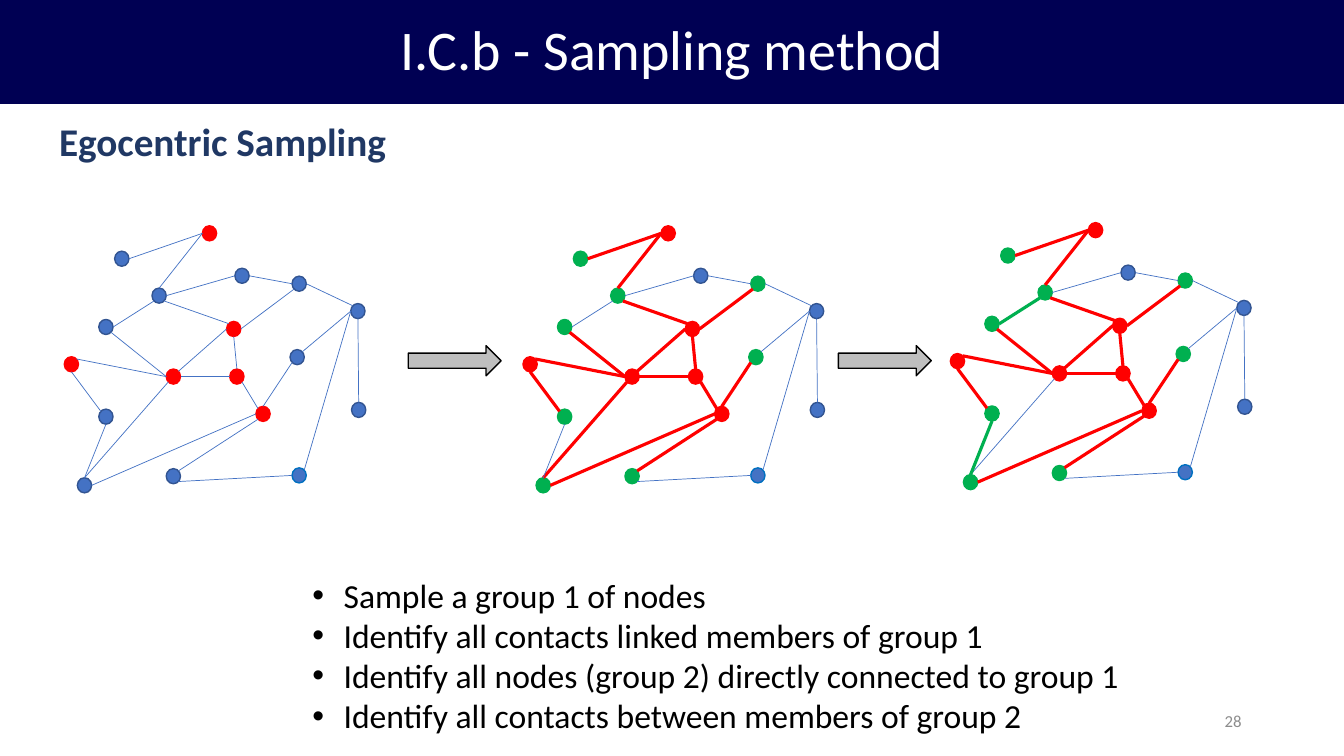
from dataclasses import dataclass
from math import sqrt

from lxml import etree
from pptx import Presentation
from pptx import util as u
from pptx.dml.color import RGBColor
from pptx.enum import shapes, text
from pptx.oxml.ns import qn


@dataclass(frozen=True)
class Theme:
    font: str = "Calibri"
    banner: str = "000053"
    heading: str = "203864"
    white: str = "FFFFFF"
    black: str = "000000"
    muted: str = "8C8C8C"
    arrow: str = "BFBFBF"
    node: str = "4472C4"
    node_line: str = "325491"
    node_accent: str = "0070C0"
    group_1: str = "FF0000"
    group_2: str = "00B050"
    title_size: float = 40
    heading_size: float = 28
    body_size: float = 24
    number_size: float = 12
    thin: float = 0.5
    outline: float = 1
    thick: float = 2.25


THEME = Theme()

# Node centres in cm, as placed in the first network
NODES = {
    "A": (5.28, 5.88), "B": (2.67, 8.24), "C": (4.37, 9.49),
    "D": (2.67, 10.5), "E": (4.01, 7.45), "F": (6.63, 10.43),
    "G": (4.37, 12), "H": (5.89, 8.29), "I": (7.54, 11.98),
    "J": (7.49, 9), "K": (2.13, 12.23), "L": (9.02, 7.84),
    "M": (7.54, 7.15), "N": (3.07, 6.52), "O": (1.8, 9.18),
    "P": (5.97, 9.49), "Q": (6.1, 6.95), "R": (9.04, 10.33),
}
NODE_WIDTH, NODE_HEIGHT = 0.36, 0.38

# Each contact: node.side - node.side, sides named by compass
CONTACTS = [contact.split("-") for contact in (
    "E.N-A.W C.W-B.SE C.NE-H.W H.E-M.SW K.N-C.SW K.N-D.S F.N-J.SW G.NE-F.SW "
    "K.E-F.W G.SE-I.W I.NE-L.W B.E-E.SW H.NW-E.SE J.NE-L.W N.E-A.W O.NE-C.W "
    "O.S-D.NW R.N-L.S P.N-H.S Q.E-M.W E.E-Q.W P.SE-F.NW M.E-L.NW C.E-P.W"
).split()]

GROUP_1 = set("ACFHOP")
GROUP_2 = {end[0] for contact in CONTACTS for end in contact
           if any(other[0] in GROUP_1 for other in contact)} - GROUP_1

BULLETS = [
    "Sample a group 1 of nodes",
    "Identify all contacts linked members of group 1",
    "Identify all nodes (group 2) directly connected to group 1",
    "Identify all contacts between members of group 2",
]


def rgb(color):
    return RGBColor.from_string(color)


def write_text(shape, lines, size, color, bold=False, align=text.PP_ALIGN.LEFT,
               anchor=text.MSO_ANCHOR.TOP, wrap=True, spacing=None, indent=None):
    frame = shape.text_frame
    frame.word_wrap = wrap
    frame.vertical_anchor = anchor
    if not wrap:
        frame.auto_size = text.MSO_AUTO_SIZE.SHAPE_TO_FIT_TEXT
    for index, line in enumerate(lines):
        paragraph = frame.paragraphs[0] if index == 0 else frame.add_paragraph()
        paragraph.alignment = align
        paragraph.line_spacing = spacing
        if indent:
            add_bullet(paragraph, indent)
        run = paragraph.add_run()
        run.text = line
        run.font.name = THEME.font
        run.font.size = u.Pt(size)
        run.font.bold = bold
        run.font.color.rgb = rgb(color)


def add_bullet(paragraph, indent):
    properties = paragraph._p.get_or_add_pPr()
    properties.set("marL", str(u.Cm(indent)))
    properties.set("indent", str(-u.Cm(indent)))
    etree.SubElement(properties, qn("a:buFont")).set("typeface", "Arial")
    etree.SubElement(properties, qn("a:buChar")).set("char", "•")


def add_text(slide, box, lines, **style):
    shape = slide.shapes.add_textbox(*map(u.Cm, box))
    write_text(shape, lines, **style)


def add_filled(slide, kind, box, fill, line=None):
    shape = slide.shapes.add_shape(kind, *map(u.Cm, box))
    shape.shadow.inherit = False
    shape.fill.solid()
    shape.fill.fore_color.rgb = rgb(fill)
    if line:
        shape.line.color.rgb = rgb(line)
        shape.line.width = u.Pt(THEME.outline)
    else:
        shape.line.fill.background()
    return shape


def add_line(slide, start, end, color, width):
    connector = slide.shapes.add_connector(
        shapes.MSO_CONNECTOR.STRAIGHT, *map(u.Cm, (*start, *end)))
    connector.line.color.rgb = rgb(color)
    connector.line.width = u.Pt(width)
    etree.SubElement(connector._element.spPr, qn("a:effectLst"))


def node_colors(name, stage):
    if name in GROUP_1:
        return THEME.group_1, THEME.group_1
    if stage > 1 and name in GROUP_2:
        return THEME.group_2, THEME.group_2
    return THEME.node, THEME.node_accent if name == "I" else THEME.node_line


def contact_style(ends, stage):
    # The K-C contact is left unmarked in the last stage
    if stage == 1 or (stage == 3 and ends == {"K", "C"}):
        return THEME.node, THEME.thin
    if ends & GROUP_1:
        return THEME.group_1, THEME.thick
    if stage == 3 and ends <= GROUP_2:
        return THEME.group_2, THEME.thick
    return THEME.node, THEME.thin


def side_point(end, left, top):
    """Point on a node's outline at the given compass side."""
    name, side = end.split(".")
    reach = 1 / sqrt(len(side))
    across = ("E" in side) - ("W" in side)
    down = ("S" in side) - ("N" in side)
    x, y = NODES[name]
    return (left + x + across * reach * NODE_WIDTH / 2,
            top + y + down * reach * NODE_HEIGHT / 2)


def add_network(slide, stage, left, top):
    for name, (x, y) in NODES.items():
        box = (left + x - NODE_WIDTH / 2, top + y - NODE_HEIGHT / 2,
               NODE_WIDTH, NODE_HEIGHT)
        add_filled(slide, shapes.MSO_SHAPE.OVAL, box, *node_colors(name, stage))
    for start, end in CONTACTS:
        add_line(slide, side_point(start, left, top), side_point(end, left, top),
                 *contact_style({start[0], end[0]}, stage))


def main():
    presentation = Presentation()
    presentation.slide_width = u.Cm(33.87)
    presentation.slide_height = u.Cm(19.05)
    slide = presentation.slides.add_slide(presentation.slide_layouts[6])

    # Title banner, slide number and heading
    banner = add_filled(slide, shapes.MSO_SHAPE.RECTANGLE,
                        (0, 0, 33.87, 2.62), THEME.banner)
    write_text(banner, ["I.C.b - Sampling method"], size=THEME.title_size,
               color=THEME.white, align=text.PP_ALIGN.CENTER,
               anchor=text.MSO_ANCHOR.MIDDLE, spacing=0.9)
    add_text(slide, (23.92, 17.66, 7.62, 1.01), ["28"], size=THEME.number_size,
             color=THEME.muted, align=text.PP_ALIGN.RIGHT,
             anchor=text.MSO_ANCHOR.MIDDLE)
    add_text(slide, (1.24, 2.82, 8.84, 1.45), ["Egocentric Sampling"],
             size=THEME.heading_size, color=THEME.heading, bold=True, wrap=False)

    # Sampling steps
    add_text(slide, (7.62, 14.35, 20.83, 4.37), BULLETS, size=THEME.body_size,
             color=THEME.black, wrap=False, indent=0.79)

    # Three stages of the network, with arrows between them
    for stage, (left, top) in enumerate([(0, 0), (11.56, 0), (22.33, -0.08)], 1):
        add_network(slide, stage, left, top)
    for left in (10.29, 21.13):
        add_filled(slide, shapes.MSO_SHAPE.RIGHT_ARROW, (left, 8.71, 2.34, 0.76),
                   THEME.arrow, THEME.black)

    presentation.save("out.pptx")


if __name__ == "__main__":
    main()
